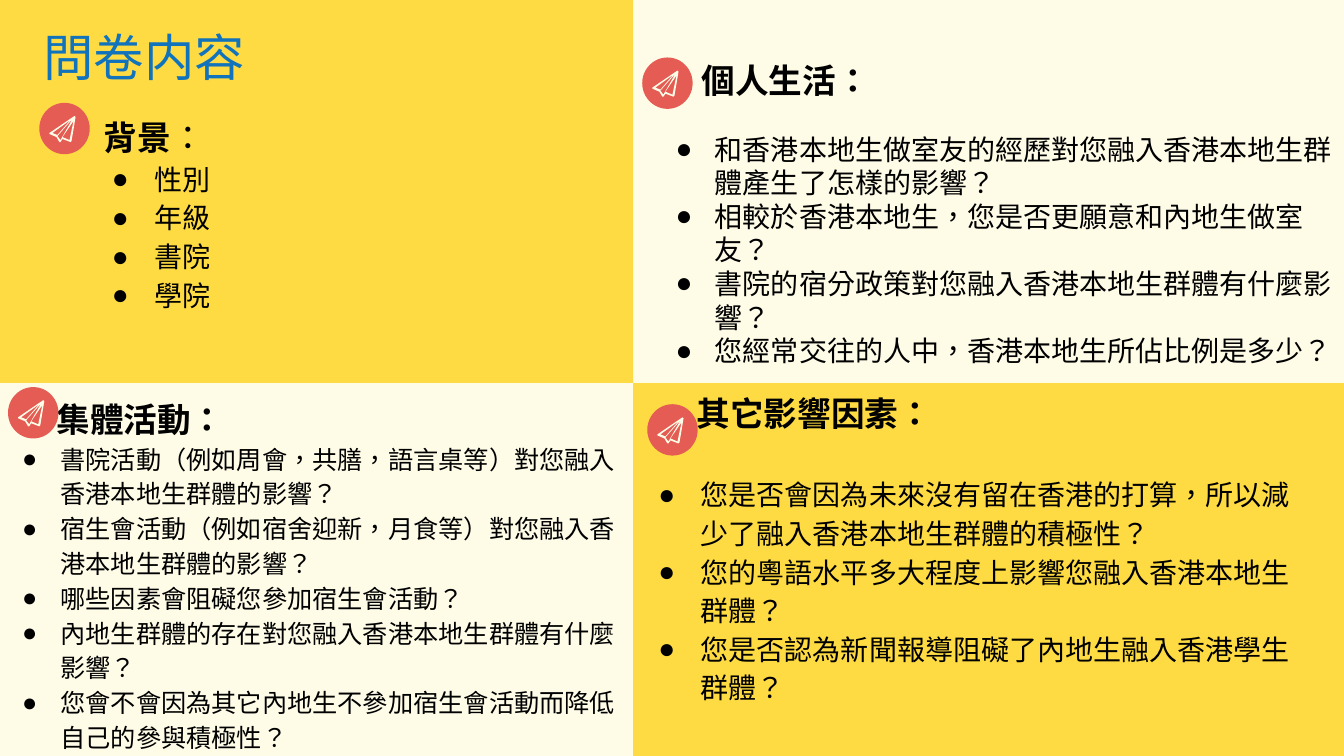
from dataclasses import dataclass

from lxml.etree import SubElement
from pptx import Presentation
from pptx.dml.color import RGBColor
from pptx.enum.lang import MSO_LANGUAGE_ID as Lang
from pptx.enum.shapes import MSO_SHAPE as Preset
from pptx.enum.text import MSO_ANCHOR as Anchor, MSO_AUTO_SIZE as AutoSize, PP_ALIGN as Align
from pptx.oxml.ns import qn
from pptx.util import Inches, Pt

COLOURS = {"cream": "FEFBE7", "yellow": "FEDB43", "red": "E45C53", "blue": "1173BC", "black": "000000"}
FONT = "Arial"
WIDTH, HEIGHT = 13.33, 7.5
SPLIT_X, SPLIT_Y = 6.28, 3.8
BADGE_SIZE = (0.5, 0.51)
PLANE_OUTLINES = [
    [(35, 13), (10, 30), (10, 31), (17, 34), (20, 39), (21, 39), (23, 36), (31, 39), (32, 38), (36, 14)],
    [(30, 37), (23, 34), (34, 18)],
    [(18, 33), (33, 16), (21, 37)],
    [(13, 30), (31, 17), (18, 32)],
]


@dataclass
class Section:
    heading: str
    questions: list[str]
    box: tuple[float, float, float, float]
    badge: tuple[float, float]
    size: int = 20
    hanging: float = 0.42
    heading_indent: float = 0.46
    heading_spacing: float = 1.15
    question_spacing: float = 1.15
    gap: int = 0
    bold_colon: bool = True


SECTIONS = [
    Section("背景", ["性別", "年級", "書院", "學院"],
            (0.93, 1, 1.91, 2.55), (0.39, 1.02), heading_indent=0, bold_colon=False),
    Section("個人生活", [
        "和香港本地生做室友的經歷對您融入香港本地生群體產生了怎樣的影響？",
        "相較於香港本地生，您是否更願意和內地生做室友？",
        "書院的宿分政策對您融入香港本地生群體有什麼影響？",
        "您經常交往的人中，香港本地生所佔比例是多少？",
    ], (6.49, 0.49, 6.85, 2.42), (6.37, 0.57), hanging=0.39, heading_indent=0.37,
        heading_spacing=1.0, question_spacing=1.0, gap=23),
    Section("集體活動", [
        "書院活動（例如周會，共膳，語言桌等）對您融入香港本地生群體的影響？",
        "宿生會活動（例如宿舍迎新，月食等）對您融入香港本地生群體的影響？",
        "哪些因素會阻礙您參加宿生會活動？",
        "內地生群體的存在對您融入香港本地生群體有什麼影響？",
        "您會不會因為其它內地生不參加宿生會活動而降低自己的參與積極性？",
    ], (0, 3.8, 6.28, 2.42), (0.08, 3.84), size=18, hanging=0.38),
    Section("其它影響因素", [
        "您是否會因為未來沒有留在香港的打算，所以減少了融入香港本地生群體的積極性？",
        "您的粵語水平多大程度上影響您融入香港本地生群體？",
        "您是否認為新聞報導阻礙了內地生融入香港學生群體？",
    ], (6.35, 3.8, 6.71, 2.42), (6.42, 4.01), heading_spacing=1.0, gap=28),
]


def colour(name: str) -> RGBColor:
    return RGBColor.from_string(COLOURS[name])


def apply(target, values: dict) -> None:
    for attribute, value in values.items():
        setattr(target, attribute, value)


def paint(shape, name: str) -> None:
    shape.fill.solid()
    shape.fill.fore_color.rgb = colour(name)
    shape.line.fill.background()
    shape.shadow.inherit = False


def place(holder, box: tuple, inset: float):
    left, top, width, height = map(Inches, box)
    apply(holder, {"left": left, "top": top, "width": width, "height": height})
    frame = holder.text_frame
    apply(frame, {"word_wrap": True, "auto_size": AutoSize.NONE, "vertical_anchor": Anchor.TOP,
                  "margin_left": Inches(0.1), "margin_right": Inches(0.1),
                  "margin_top": Inches(inset), "margin_bottom": Inches(inset)})
    return frame


def write(paragraph, text: str, size: int, bold: bool = False, ink: str = "black") -> None:
    run = paragraph.add_run()
    run.text = text
    apply(run.font, {"name": FONT, "size": Pt(size), "bold": bold,
                     "language_id": Lang.TRADITIONAL_CHINESE})
    run.font.color.rgb = colour(ink)
    SubElement(run.font._element, qn("a:ea"), typeface=FONT)


def layout_paragraph(paragraph, spacing: float, left: float = 0, hanging: float = 0, after: int = 0) -> None:
    apply(paragraph, {"alignment": Align.LEFT, "line_spacing": spacing,
                      "space_before": Pt(0), "space_after": Pt(after)})
    properties = paragraph._p.get_or_add_pPr()
    properties.set("marL", str(Inches(left)))
    properties.set("indent", str(-Inches(hanging)))
    properties.set("hangingPunct", "0")
    if hanging:
        bullet_colour = SubElement(properties, qn("a:buClr"))
        SubElement(bullet_colour, qn("a:srgbClr"), val=COLOURS["black"])
        SubElement(properties, qn("a:buFont"), typeface=FONT)
        SubElement(properties, qn("a:buChar"), char="●")
    else:
        SubElement(properties, qn("a:buNone"))


def fill_section(holder, section: Section) -> None:
    frame = place(holder, section.box, 0.1)
    heading = frame.paragraphs[0]
    layout_paragraph(heading, section.heading_spacing, section.heading_indent, after=section.gap)
    write(heading, section.heading, 24, bold=True)
    write(heading, "：", 24, bold=section.bold_colon)
    for question in section.questions:
        item = frame.add_paragraph()
        layout_paragraph(item, section.question_spacing, 0.5, section.hanging)
        write(item, question, section.size)


def draw_badge(slide, position: tuple[float, float]) -> None:
    left, top = map(Inches, position)
    badge = slide.shapes.add_group_shape().shapes
    disc = badge.add_shape(Preset.OVAL, left, top, *map(Inches, BADGE_SIZE))
    paint(disc, "red")
    outline, *folds = PLANE_OUTLINES
    builder = badge.build_freeform(*outline[0], scale=Inches(0.01))
    builder.add_line_segments(outline[1:])
    for fold in folds:
        builder.move_to(*fold[0])
        builder.add_line_segments(fold[1:])
    paint(builder.convert_to_shape(left, top), "cream")


def main() -> None:
    """Build the four-quadrant questionnaire slide."""
    deck = Presentation()
    apply(deck, {"slide_width": Inches(WIDTH), "slide_height": Inches(HEIGHT)})
    slide = deck.slides.add_slide(deck.slide_layouts.get_by_name("Comparison"))
    slide.background.fill.solid()
    slide.background.fill.fore_color.rgb = colour("cream")

    title, *bodies = slide.placeholders
    quadrants = [(0, 0, SPLIT_X, SPLIT_Y), (SPLIT_X, SPLIT_Y, WIDTH - SPLIT_X, HEIGHT - SPLIT_Y)]
    for quadrant in quadrants:
        panel = slide.shapes.add_shape(Preset.RECTANGLE, *map(Inches, quadrant))
        paint(panel, "yellow")
        title.element.addprevious(panel.element)

    heading = place(title, (0.33, 0.12, 2.44, 0.73), 0.05).paragraphs[0]
    layout_paragraph(heading, 1.15)
    write(heading, "問卷内容", 36, ink="blue")
    for body, section in zip(bodies, SECTIONS):
        fill_section(body, section)
        draw_badge(slide, section.badge)
    deck.save("out.pptx")


if __name__ == "__main__":
    main()
